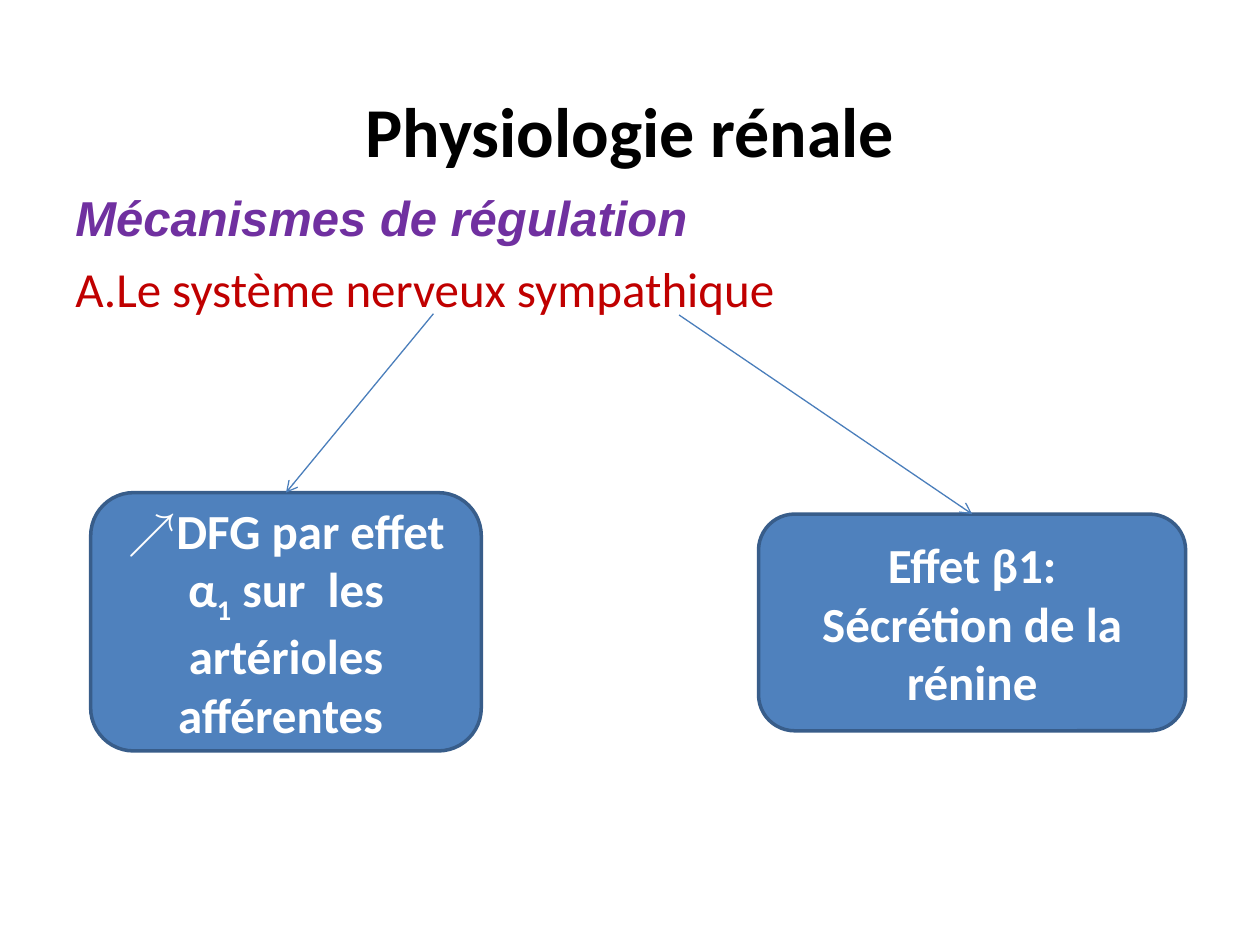
import pptx
import pptx.util
from lxml import etree
from pptx.dml.color import RGBColor
from pptx.enum.shapes import MSO_CONNECTOR, MSO_SHAPE
from pptx.enum.text import MSO_ANCHOR, PP_ALIGN
from pptx.oxml.ns import qn

Inches, Pt = pptx.util.Inches, pptx.util.Pt

BLACK = RGBColor(0x00, 0x00, 0x00)
WHITE = RGBColor(0xFF, 0xFF, 0xFF)
PURPLE = RGBColor(0x70, 0x30, 0xA0)
RED = RGBColor(0xC0, 0x00, 0x00)
BOX_FILL = RGBColor(0x4F, 0x81, 0xBD)
BOX_LINE = RGBColor(0x38, 0x5D, 0x8A)
ARROW = RGBColor(0x4A, 0x7E, 0xBB)

TITLE = "Physiologie rénale"
HEADING = "Mécanismes de régulation"
SECTION = "Le système nerveux sympathique"

# Each effect: box (left, top, width, height), arrow start,
# paragraphs made of (text, extra format) runs
EFFECTS = [
    ((6.02, 4.08, 3.39, 1.72), (5.39, 2.5),
     [[("Effet β1:", {})],
      [("Sécrétion de la rénine", {})]]),
    ((0.72, 3.91, 3.1, 2.05), (3.44, 2.49),
     [[("↗", {"font": "Arial"}),
       ("DFG par effet α", {}),
       ("1", {"baseline": -25}),
       (" sur  les artérioles afférentes ", {})]]),
]


def add_run(p, text, size=28, font="Calibri", color=WHITE, bold=True,
            italic=False, baseline=0):
    r = p.add_run()
    r.text = text
    f = r.font
    f.size, f.name, f.bold, f.italic = Pt(size), font, bold, italic
    f.color.rgb = color
    if baseline:
        r._r.get_or_add_rPr().set("baseline", str(baseline * 1000))


def add_textbox(slide, box, anchor):
    tf = slide.shapes.add_textbox(*map(Inches, box)).text_frame
    tf.word_wrap = True
    tf.vertical_anchor = anchor
    return tf


def number_with_letters(p):
    pPr = p._p.get_or_add_pPr()
    pPr.set("marL", "0")
    pPr.set("indent", "0")
    color = etree.SubElement(pPr, qn("a:buClr"))
    etree.SubElement(color, qn("a:srgbClr"), val=str(RED))
    etree.SubElement(pPr, qn("a:buFont"), typeface="Calibri")
    etree.SubElement(pPr, qn("a:buAutoNum"), type="alphaUcPeriod")


def add_effect_box(slide, box, paragraphs):
    sp = slide.shapes.add_shape(MSO_SHAPE.ROUNDED_RECTANGLE, *map(Inches, box))
    sp.shadow.inherit = False
    sp.fill.solid()
    sp.fill.fore_color.rgb = BOX_FILL
    sp.line.color.rgb = BOX_LINE
    sp.line.width = Pt(2)
    tf = sp.text_frame
    tf.word_wrap = True
    tf.vertical_anchor = MSO_ANCHOR.MIDDLE
    for i, runs in enumerate(paragraphs):
        p = tf.add_paragraph() if i else tf.paragraphs[0]
        p.alignment = PP_ALIGN.CENTER
        for text, extra in runs:
            add_run(p, text, **extra)


def add_arrow(slide, start, end):
    c = slide.shapes.add_connector(MSO_CONNECTOR.STRAIGHT,
                                   *map(Inches, start + end))
    c.line.color.rgb = ARROW
    c.line.width = Pt(0.75)
    etree.SubElement(c.line._get_or_add_ln(), qn("a:tailEnd"), type="arrow")
    etree.SubElement(c._element.spPr, qn("a:effectLst"))


def main():
    prs = pptx.Presentation()
    prs.slide_width, prs.slide_height = Inches(10), Inches(7.5)
    slide = prs.slides.add_slide(prs.slide_layouts[6])

    p = add_textbox(slide, (0.5, 0.63, 9, 0.79), MSO_ANCHOR.MIDDLE).paragraphs[0]
    p.alignment = PP_ALIGN.CENTER
    add_run(p, TITLE, size=40, color=BLACK)

    tf = add_textbox(slide, (0.5, 1.41, 9, 5.51), MSO_ANCHOR.TOP)
    tf.margin_top = Inches(0.08)
    add_run(tf.paragraphs[0], HEADING, font="Arial", color=PURPLE, italic=True)
    p = tf.add_paragraph()
    p.space_before = Pt(7)
    number_with_letters(p)
    add_run(p, SECTION, color=RED, bold=False)

    for box, start, paragraphs in EFFECTS:
        left, top, width, _ = box
        add_effect_box(slide, box, paragraphs)
        add_arrow(slide, start, (left + width / 2, top))

    prs.save("out.pptx")


if __name__ == "__main__":
    main()
